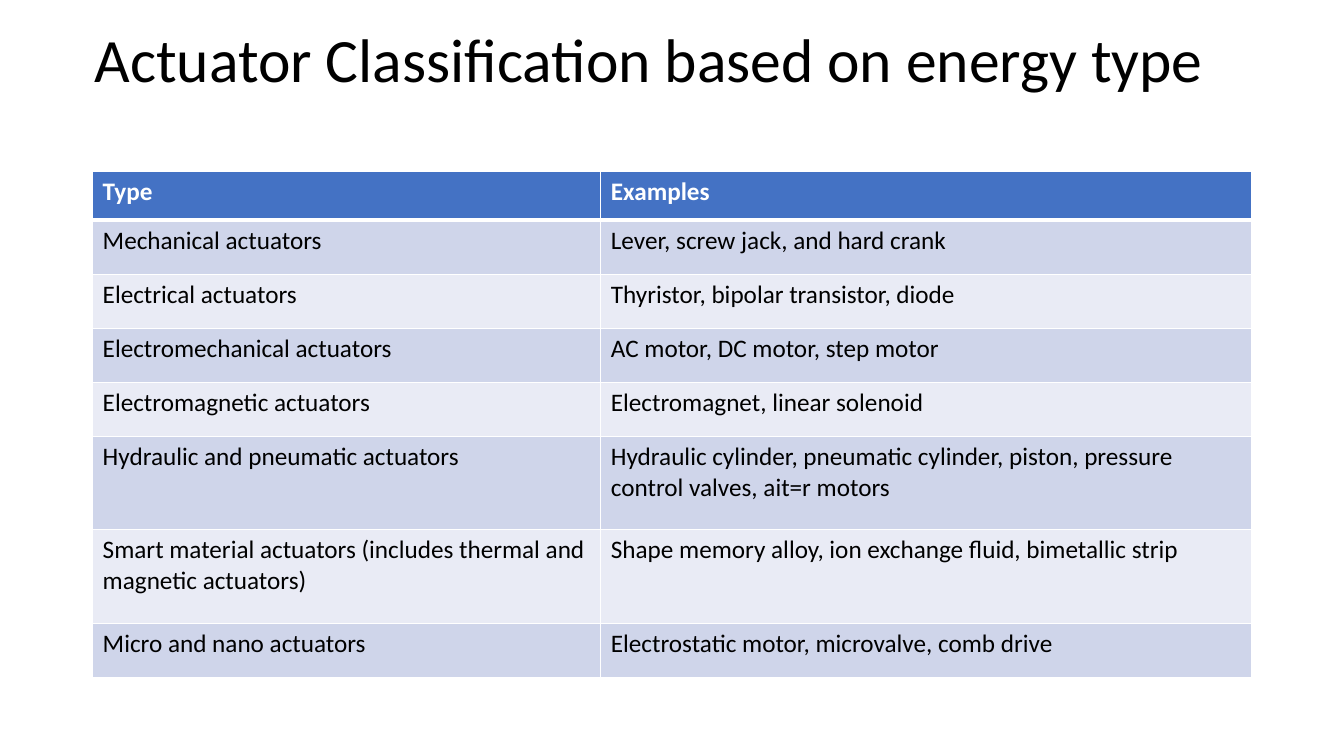
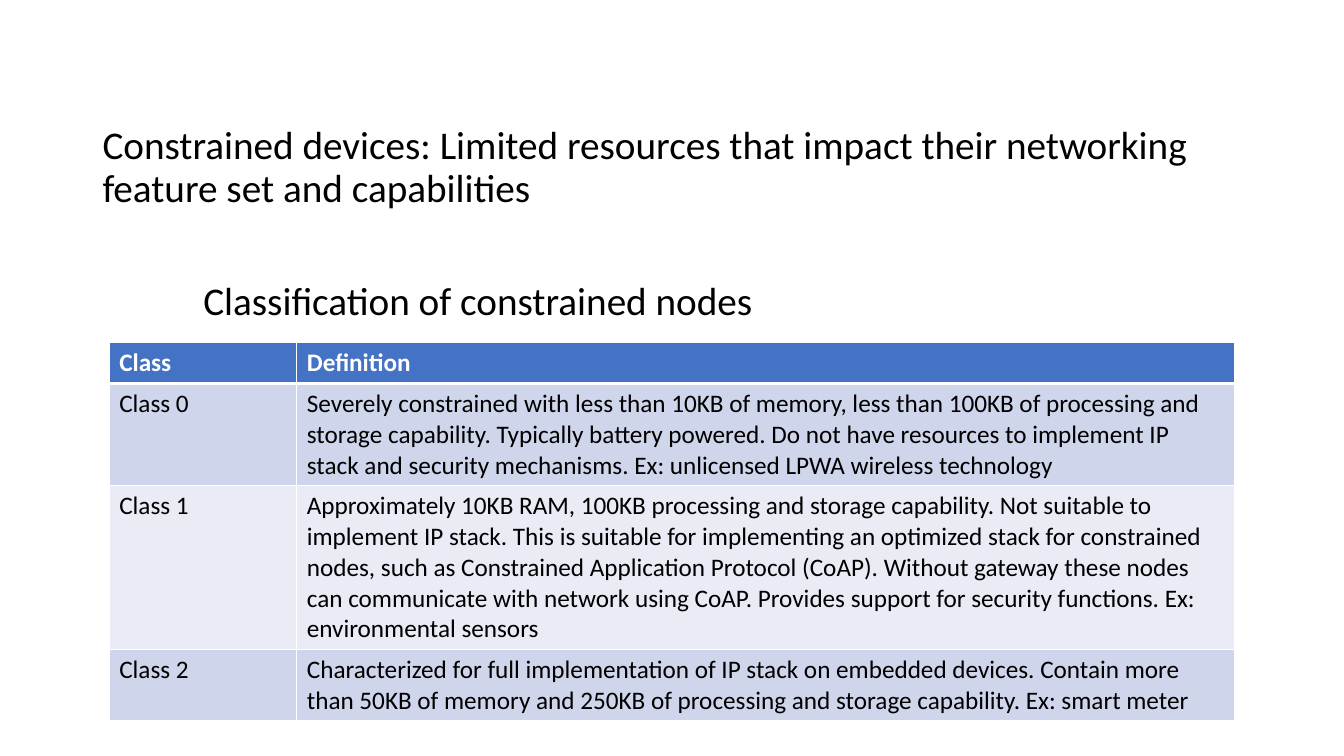
"""Build two slides on actuator types and constrained device classes."""
from dataclasses import dataclass

from lxml.etree import SubElement
from pptx import Presentation
from pptx.dml.color import RGBColor
from pptx.enum.text import MSO_ANCHOR
from pptx.oxml.ns import qn
from pptx.util import Pt


@dataclass(frozen=True)
class Theme:
    font: str = "Calibri"
    text: str = "000000"
    white: str = "FFFFFF"
    header: str = "4472C4"
    bands: tuple = ("CFD5EA", "E9EBF5")
    title_size: int = 44
    body_size: int = 28
    cell_size: int = 18
    border: int = 1
    header_border: int = 3


T = Theme()


def add_text(p, text, size, color=T.text, bold=False):
    r = p.add_run()
    r.text = text
    r.font.name = T.font
    r.font.size = Pt(size)
    r.font.bold = bold
    r.font.color.rgb = RGBColor.from_string(color)


def add_grid(s, left, top, widths, heights, rows):
    shape = s.shapes.add_table(len(rows), len(widths), Pt(left), Pt(top),
                               Pt(sum(widths)), Pt(sum(heights)))
    tbl = shape.table
    for col, width in zip(tbl.columns, widths):
        col.width = Pt(width)
    for i, (height, row) in enumerate(zip(heights, rows)):
        tbl.rows[i].height = Pt(height)
        head = i == 0
        fill = T.header if head else T.bands[(i - 1) % 2]
        for j, text in enumerate(row):
            cell = tbl.cell(i, j)
            tcPr = cell._tc.get_or_add_tcPr()
            for side in "LRTB":
                thick = (side == "B" and head) or (side == "T" and i == 1)
                width = T.header_border if thick else T.border
                ln = SubElement(tcPr, qn(f"a:ln{side}"), w=str(Pt(width)))
                SubElement(SubElement(ln, qn("a:solidFill")), qn("a:srgbClr"), val=T.white)
            cell.fill.solid()
            cell.fill.fore_color.rgb = RGBColor.from_string(fill)
            add_text(cell.text_frame.paragraphs[0], text, T.cell_size,
                     T.white if head else T.text, head)


prs = Presentation()
prs.slide_width, prs.slide_height = Pt(960), Pt(540)
blank = prs.slide_layouts[6]

s = prs.slides.add_slide(blank)
tf = s.shapes.add_textbox(Pt(60.5), Pt(8.6), Pt(828), Pt(72)).text_frame
tf.word_wrap = True
tf.vertical_anchor = MSO_ANCHOR.MIDDLE
p = tf.paragraphs[0]
p.line_spacing = 0.9
add_text(p, "Actuator Classification based on energy type", T.title_size)

actuators = [
    ("Type", "Examples"),
    ("Mechanical actuators", "Lever, screw jack, and hard crank"),
    ("Electrical actuators", "Thyristor, bipolar transistor, diode"),
    ("Electromechanical actuators", "AC motor, DC motor, step motor"),
    ("Electromagnetic actuators", "Electromagnet, linear solenoid"),
    ("Hydraulic and pneumatic actuators",
     "Hydraulic cylinder, pneumatic cylinder, piston, pressure control valves, ait=r motors"),
    ("Smart material actuators (includes thermal and magnetic actuators)",
     "Shape memory alloy, ion exchange fluid, bimetallic strip"),
    ("Micro and nano actuators", "Electrostatic motor, microvalve, comb drive"),
]
add_grid(s, 66.2, 122.4, (363, 465), (35, *[38.6] * 4, 66.8, 66.8, 38.6), actuators)

s = prs.slides.add_slide(blank)
tf = s.shapes.add_textbox(Pt(66.2), Pt(86.4), Pt(828), Pt(424.8)).text_frame
tf.word_wrap = True
p = tf.paragraphs[0]
p.line_spacing = 0.9
add_text(p, "Constrained devices: Limited resources that impact their networking "
            "feature set and capabilities", T.body_size)
p = tf.add_paragraph()
p._p.get_or_add_pPr().set("marL", str(Pt(72)))
p.line_spacing = 0.9
p.space_before = Pt(51)
add_text(p, "Classification of constrained nodes", T.body_size)

classes = [
    ("Class", "Definition"),
    ("Class 0",
     "Severely constrained with less than 10KB of memory, less than 100KB of processing "
     "and storage capability. Typically battery powered. Do not have resources to "
     "implement IP stack and security mechanisms. Ex: unlicensed LPWA wireless technology"),
    ("Class 1",
     "Approximately 10KB RAM, 100KB processing and storage capability. Not suitable to "
     "implement IP stack. This is suitable for implementing an optimized stack for "
     "constrained nodes, such as Constrained Application Protocol (CoAP). Without gateway "
     "these nodes can communicate with network using CoAP. Provides support for security "
     "functions. Ex: environmental sensors"),
    ("Class 2",
     "Characterized for full implementation of IP stack on embedded devices. Contain more "
     "than 50KB of memory and 250KB of processing and storage capability. Ex: smart meter"),
]
add_grid(s, 78, 244.8, (134, 670), (29.2, 73, 117, 51), classes)

prs.save("out.pptx")
